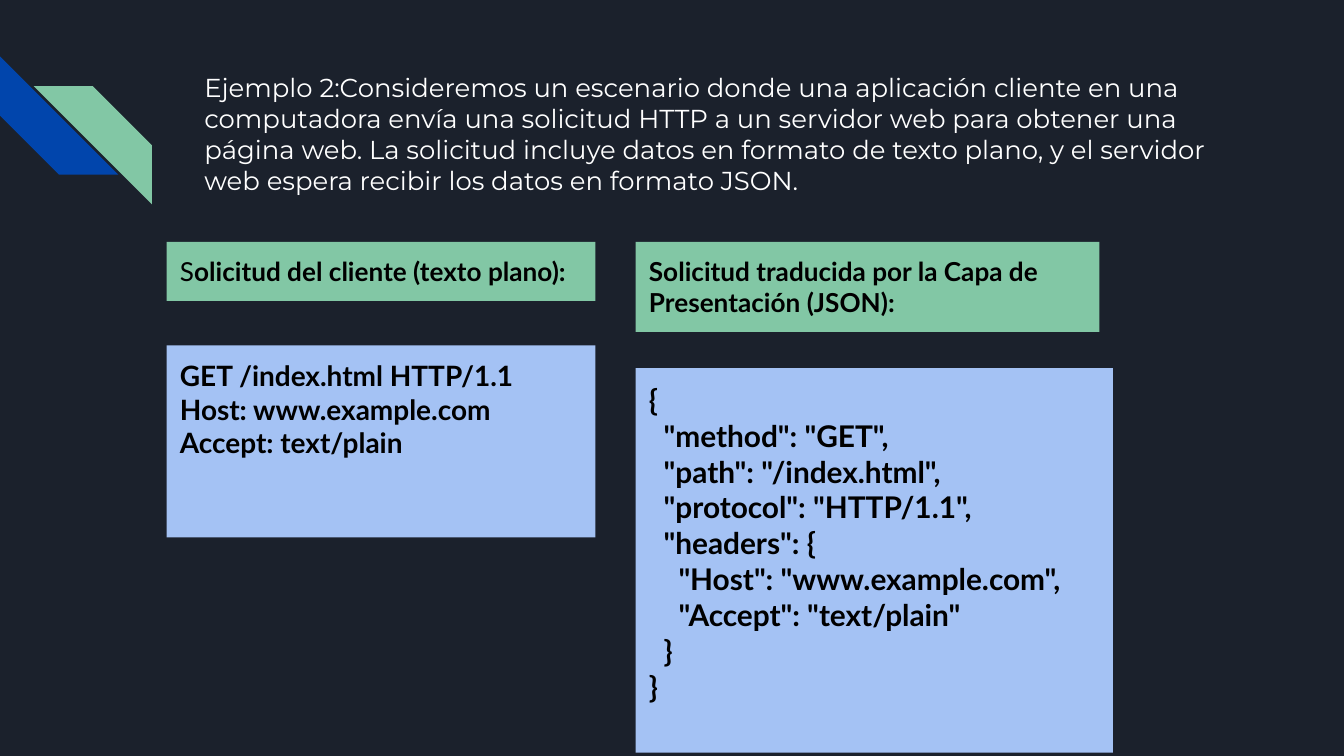
from pptx import Presentation
from pptx.dml.color import RGBColor
from pptx.enum import shapes, text
from pptx.util import Inches, Pt

NAVY = RGBColor(0x1B, 0x21, 0x2C)
BLUE = RGBColor(0x01, 0x45, 0xAC)
GREEN = RGBColor(0x82, 0xC7, 0xA5)
SKY = RGBColor(0xA4, 0xC2, 0xF4)
WHITE = RGBColor(0xFF, 0xFF, 0xFF)
BLACK = RGBColor(0, 0, 0)

WIDTH = Inches(10)
HEIGHT = WIDTH * 9 // 16  # widescreen
PAD = Inches(0.1)
STEP = 0.11  # indent of one JSON level, in inches
FRAME = dict(margin_left=PAD, margin_right=PAD, margin_top=PAD,
             margin_bottom=PAD, word_wrap=True,
             vertical_anchor=text.MSO_ANCHOR.TOP,
             auto_size=text.MSO_AUTO_SIZE.NONE)

INTRO = ("Ejemplo 2:Consideremos un escenario donde una aplicación cliente en "
         "una computadora envía una solicitud HTTP a un servidor web para "
         "obtener una página web. La solicitud incluye datos en formato de "
         "texto plano, y el servidor web espera recibir los datos en formato "
         "JSON.")

# Each line is (indent level, runs); each run is (words, bold)
PLAIN = [(0, [("GET /index.html HTTP/1.1", True)]),
         (0, [("Host: www.example.com", True)]),
         (0, [("Accept: text/plain", True)])]
JSON = [(level, [(words, True)]) for level, words in (
    (0, '{'),
    (1, '"method": "GET",'),
    (1, '"path": "/index.html",'),
    (1, '"protocol": "HTTP/1.1",'),
    (1, '"headers": {'),
    (2, '"Host": "www.example.com",'),
    (2, '"Accept": "text/plain"'),
    (1, '}'),
    (0, '}'))]


def style(item, values):
    for name, value in values.items():
        setattr(item, name, value)


def place(item, box):
    names = ("left", "top", "width", "height")
    style(item, dict(zip(names, map(Inches, box))))


def write(frame, lines, face, size, color):
    style(frame, FRAME)
    for i, (level, runs) in enumerate(lines):
        para = frame.add_paragraph() if i else frame.paragraphs[0]
        para.alignment = text.PP_ALIGN.LEFT
        if level:
            props = para._p.get_or_add_pPr()
            props.set("marL", str(Inches(level * STEP)))
            props.set("indent", "0")
        for words, bold in runs:
            run = para.add_run()
            run.text = words
            style(run.font, dict(name=face, size=Pt(size), bold=bold))
            run.font.color.rgb = color


def add_fill(slide, kind, box, color):
    shape = slide.shapes.add_shape(kind, *map(Inches, box))
    shape.shadow.inherit = False
    shape.fill.solid()
    shape.fill.fore_color.rgb = color
    shape.line.fill.background()
    return shape


def add_mark(slide, left, top, size):
    """Two diagonal stripes, the second one lower and turned the other way."""
    for dx, dy, turn, color in ((0, 0, 270, BLUE), (0.25, 0.22, 90, GREEN)):
        stripe = add_fill(slide, shapes.MSO_SHAPE.DIAGONAL_STRIPE,
                          (left + dx, top + dy, size, size), color)
        stripe.rotation = turn


def add_title(slide, box):
    title = slide.shapes.title
    place(title, box)
    write(title.text_frame, [(0, [(INTRO, False)])], "Montserrat", 13.9, WHITE)


def add_panel(slide, box, color, lines, size):
    panel = add_fill(slide, shapes.MSO_SHAPE.RECTANGLE, box, color)
    write(panel.text_frame, lines, "Lato", size, BLACK)


def add_column(slide, left, top, head, body):
    """A green heading over a blue code panel; dy is measured from top."""
    for color, (dy, width, height, lines, size) in ((GREEN, head), (SKY, body)):
        add_panel(slide, (left, top + dy, width, height), color, lines, size)


def main():
    deck = Presentation()
    style(deck, dict(slide_width=WIDTH, slide_height=HEIGHT))
    slide = deck.slides.add_slide(deck.slide_layouts[5])
    slide.background.fill.solid()
    slide.background.fill.fore_color.rgb = NAVY

    add_mark(slide, 0, 0.42, 0.88)
    add_title(slide, (1.42, 0.43, 7.7, 1.13))

    # Client request
    label = [(0, [("S", False), ("olicitud del cliente (texto plano):", True)])]
    add_column(slide, 1.24, 1.8, (0, 3.19, 0.44, label, 14),
               (0.77, 3.19, 1.43, PLAIN, 15))

    # Translated request
    label = [(0, [("Solicitud traducida por la Capa de Presentación (JSON):",
                   True)])]
    add_column(slide, 4.73, 1.8, (0, 3.45, 0.67, label, 14),
               (0.94, 3.55, 2.86, JSON, 16))

    deck.save("out.pptx")


if __name__ == "__main__":
    main()
